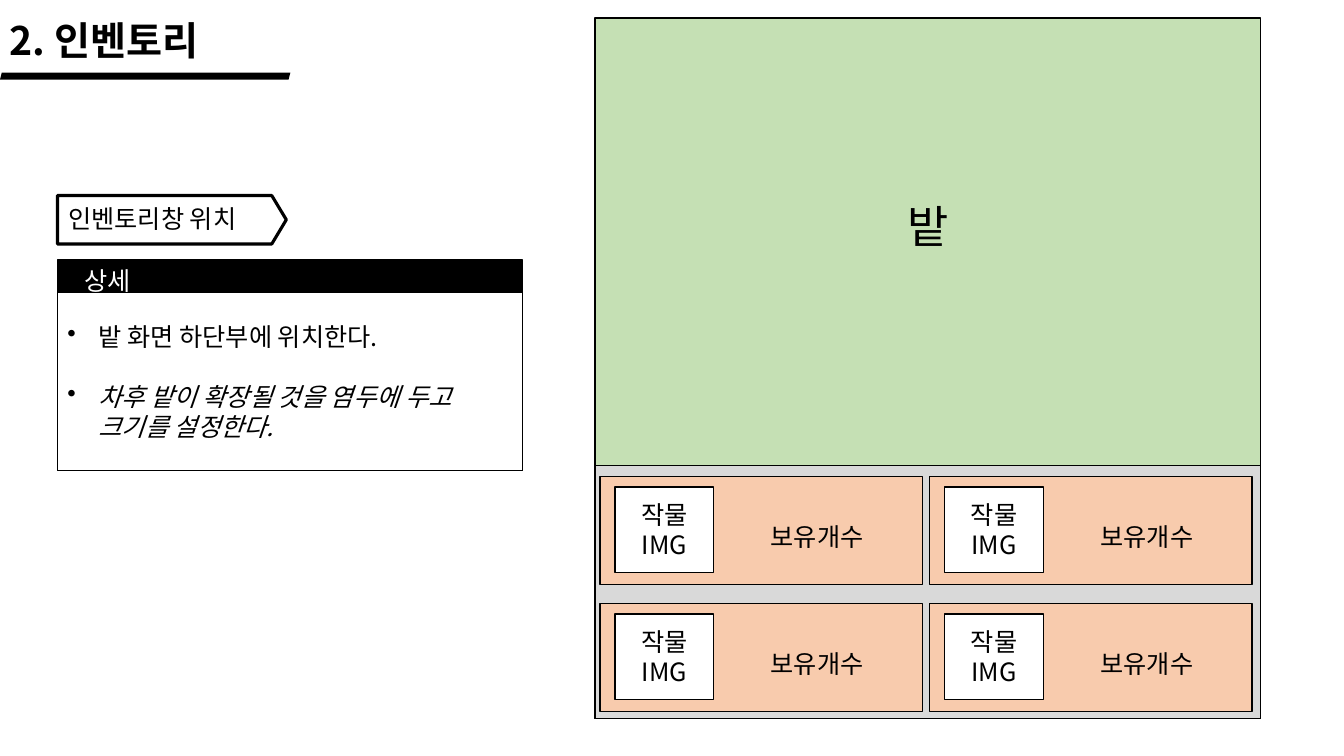
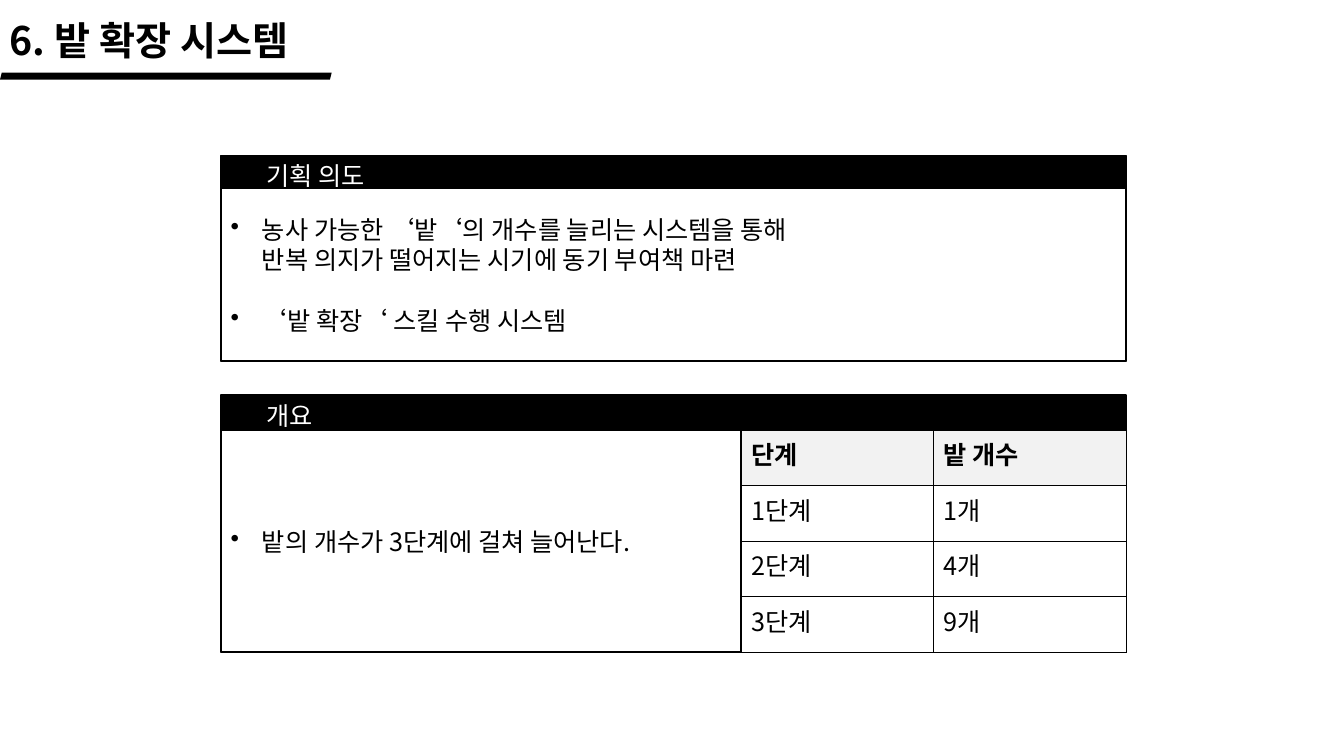
from dataclasses import dataclass
from itertools import product
from lxml.etree import SubElement
from pptx import Presentation
from pptx.dml.color import RGBColor
from pptx.enum.shapes import MSO_SHAPE as Kind
from pptx.enum.text import MSO_ANCHOR as Anchor, PP_ALIGN as Align
from pptx.oxml.ns import qn
from pptx.util import Inches, Pt

FONT = "Noto Sans CJK KR"
HUES = {
    "ink": "000000",
    "paper": "FFFFFF",
    "field": "C5E0B4",
    "tray": "D9D9D9",
    "card": "F8CBAD",
    "head": "F2F2F2",
}


@dataclass
class Box:
    x: float
    y: float
    w: float
    h: float

    def size(self) -> list:
        return [Inches(v) for v in (self.x, self.y, self.w, self.h)]


@dataclass
class Panel:
    box: Box
    band: float
    inset: float
    label: str
    items: list[str]
    slant: int = -1  # index of the italic item


def hue(name: str) -> RGBColor:
    return RGBColor.from_string(HUES[name])


def write(frame, text: str, *, size=18, color="ink", bold=False, align=Align.LEFT,
          anchor=Anchor.TOP, wrap=True, bullet=False, slant=-1) -> None:
    """Fill a text frame; bulleted text has one item per tab-separated part."""
    frame.word_wrap = wrap
    frame.vertical_anchor = anchor
    for i, part in enumerate(text.split("\t")):
        para = frame.add_paragraph() if i else frame.paragraphs[0]
        para.text = part
        para.alignment = align
        if bullet:
            props = para._p.get_or_add_pPr()
            props.set("marL", str(Inches(0.31)))
            props.set("indent", str(-Inches(0.31)))
            SubElement(props, qn("a:buChar"), char="•")
        if i:
            para.space_before = Pt(21.6)
        for run in para.runs:
            font = run.font
            font.name, font.size, font.bold = FONT, Pt(size), bold
            font.italic = i == slant
            font.color.rgb = hue(color)
            SubElement(run._r.get_or_add_rPr(), qn("a:ea"), typeface=FONT)


def label(slide, box: Box, text: str, **style) -> None:
    write(slide.shapes.add_textbox(*box.size()).text_frame, text, **style)


def shape(slide, box: Box, fill: str, kind=Kind.RECTANGLE, line=1.0):
    form = slide.shapes.add_shape(kind, *box.size())
    form.shadow.inherit = False
    form.fill.solid()
    form.fill.fore_color.rgb = hue(fill)
    if line:
        form.line.color.rgb = hue("ink")
        form.line.width = Pt(line)
    else:
        form.line.fill.background()
    return form


def title(slide, text: str, wide: float) -> None:
    label(slide, Box(0, 0.11, wide + 0.2, 0.57), text, size=28, bold=True)
    shape(slide, Box(0, 0.72, wide, 0.07), "ink", Kind.PARALLELOGRAM, 0)


def panel(slide, item: Panel) -> None:
    box, band = item.box, item.band
    shape(slide, box, "ink")
    body = shape(slide, Box(box.x, box.y + band, box.w, box.h - band), "paper")
    write(body.text_frame, "\t".join(item.items), anchor=Anchor.MIDDLE,
          bullet=True, slant=item.slant)
    label(slide, Box(box.x + item.inset, box.y, box.w - 2 * item.inset, 0.4),
          item.label, color="paper")


def card(slide, x: float, y: float) -> None:
    shape(slide, Box(x, y, 3.2, 1.07), "card")
    crop = shape(slide, Box(x + 0.15, y + 0.1, 0.98, 0.85), "paper")
    write(crop.text_frame, "작물 IMG", align=Align.CENTER, anchor=Anchor.MIDDLE)
    label(slide, Box(x + 1.5, y + 0.39, 1.31, 0.29), "보유개수", align=Align.CENTER)


def edge(cell) -> None:
    """Draw a thin border on all four sides of a cell."""
    props = cell._tc.get_or_add_tcPr()
    for side in "LRTB":
        line = SubElement(props, qn(f"a:ln{side}"), w=str(Pt(1)))
        fill = SubElement(line, qn("a:solidFill"))
        SubElement(fill, qn("a:srgbClr"), val=HUES["ink"])


def grid(slide, box: Box, rows: list[tuple[str, ...]]) -> None:
    table = slide.shapes.add_table(len(rows), len(rows[0]), *box.size()).table
    table.first_row = table.horz_banding = False
    for r, row in enumerate(rows):
        for c, text in enumerate(row):
            cell = table.cell(r, c)
            edge(cell)
            cell.fill.solid()
            cell.fill.fore_color.rgb = hue("paper" if r else "head")
            write(cell.text_frame, text, bold=r == 0)


def stock(slide) -> None:
    shape(slide, Box(5.9, 0.18, 6.6, 6.95), "field")
    title(slide, "2. 인벤토리", 2.88)
    shape(slide, Box(5.9, 4.62, 6.6, 2.51), "tray")
    for y, x in product((4.73, 5.99), (5.95, 9.22)):
        card(slide, x, y)
    panel(slide, Panel(Box(0.57, 2.58, 4.61, 2.09), 0.32, 0.17, "상세", [
        "밭 화면 하단부에 위치한다.",
        "차후 밭이 확장될 것을 염두에 두고 크기를 설정한다.",
    ], slant=1))
    tag = shape(slide, Box(0.57, 1.94, 2.27, 0.48), "paper", Kind.PENTAGON, 2.25)
    tag.adjustments[0] = 0.3
    label(slide, Box(0.58, 1.97, 2.06, 0.4), "인벤토리창 위치")
    label(slide, Box(8.88, 1.92, 0.65, 0.64), "밭", size=32, align=Align.CENTER,
          wrap=False)


def growth(slide) -> None:
    title(slide, "6. 밭 확장 시스템", 3.29)
    panel(slide, Panel(Box(2.19, 1.54, 8.98, 2.04), 0.33, 0.35, "기획 의도", [
        "농사 가능한 ‘밭‘의 개수를 늘리는 시스템을 통해\n"
        "반복 의지가 떨어지는 시기에 동기 부여책 마련",
        "‘밭 확장‘ 스킬 수행 시스템",
    ]))
    panel(slide, Panel(Box(2.19, 3.92, 8.98, 2.55), 0.35, 0.35, "개요", [
        "밭의 개수가 3단계에 걸쳐 늘어난다.",
    ]))
    steps = [(f"{n}단계", f"{n * n}개") for n in (1, 2, 3)]
    grid(slide, Box(7.35, 4.27, 3.82, 2.2), [("단계", "밭 개수"), *steps])


def main() -> None:
    deck = Presentation()
    deck.slide_width, deck.slide_height = Inches(13.33), Inches(7.5)
    for draw in (stock, growth):
        draw(deck.slides.add_slide(deck.slide_layouts[6]))
    deck.save("out.pptx")


if __name__ == "__main__":
    main()
